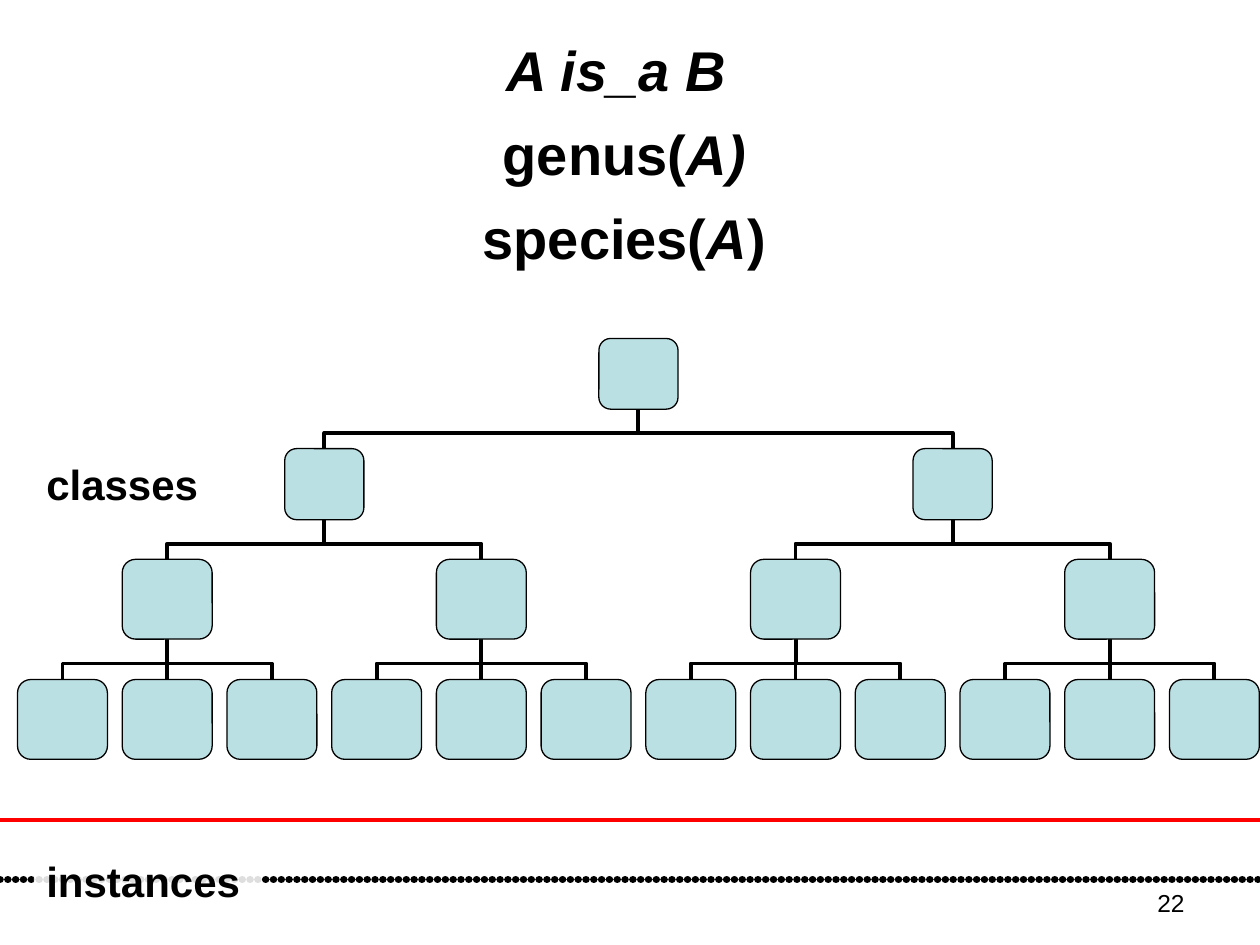
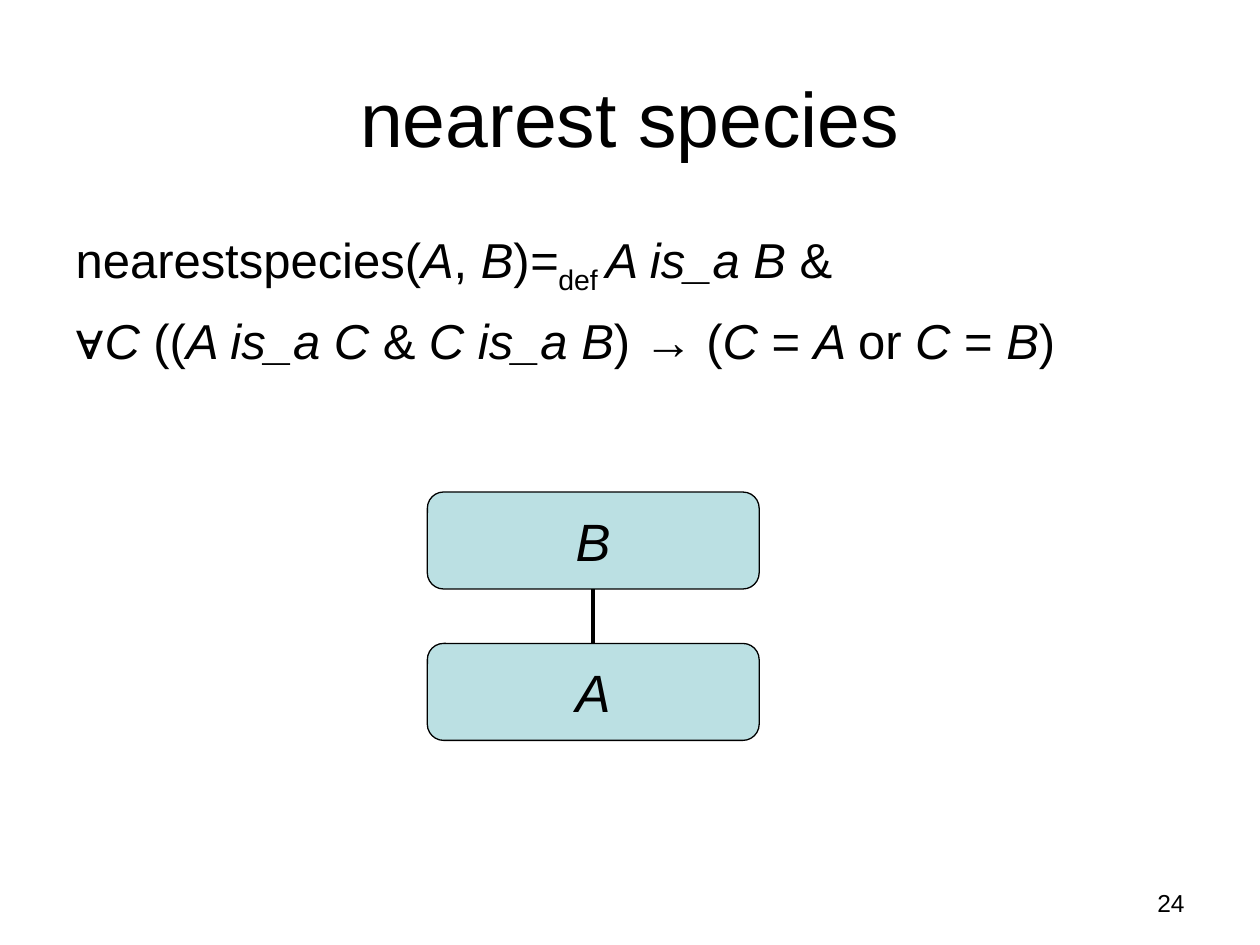
from lxml.etree import SubElement
from pptx import Presentation
from pptx.dml.color import RGBColor
from pptx.enum.shapes import MSO_CONNECTOR, MSO_SHAPE
from pptx.enum.text import MSO_ANCHOR, MSO_AUTO_SIZE, PP_ALIGN
from pptx.oxml.ns import qn
from pptx.util import Pt

BLACK = RGBColor(0x00, 0x00, 0x00)
WHITE = RGBColor(0xFF, 0xFF, 0xFF)
RED = RGBColor(0xFF, 0x00, 0x00)
PALE_TEAL = RGBColor(0xBB, 0xE0, 0xE3)
FONT = "Arial"
SLIDE_WIDTH, SLIDE_HEIGHT = 720, 540

LEAF_COUNT, FIRST_LEAF_X, LEAF_PITCH = 12, 35.7, 59.84
LEAF_LEVEL = (388.3, 51.4, 45.6)
UPPER_LEVELS = [(3, 319.6, 51.4, 45.6), (2, 256.4, 45.2, 40.6), (2, 193.4, 45.2, 40.4)]
ELBOW_SHARE = 39500


def place(shape, left, top, width, height):
    shape.left, shape.top = Pt(left), Pt(top)
    shape.width, shape.height = Pt(width), Pt(height)


def add_marked_runs(paragraph, marked):
    """Asterisks enclose italics, bars enclose subscripts."""
    for i, slanted in enumerate(marked.split("*")):
        for j, piece in enumerate(slanted.split("|")):
            if piece:
                run = paragraph.add_run()
                run.text = piece
                run.font.italic = i % 2 == 1
                if j % 2:
                    run._r.get_or_add_rPr().set("baseline", "-25000")


def write(frame, lines, size, bold=False, align=PP_ALIGN.LEFT, anchor=MSO_ANCHOR.TOP,
          gap=0, spacing=None, plain_list=False):
    frame.word_wrap = True
    frame.auto_size = MSO_AUTO_SIZE.NONE
    frame.vertical_anchor = anchor
    for number, line in enumerate(lines):
        paragraph = frame.add_paragraph() if number else frame.paragraphs[0]
        if plain_list:
            properties = paragraph._p.get_or_add_pPr()
            properties.set("marL", "0")
            properties.set("indent", "0")
            SubElement(properties, qn("a:buNone"))
        paragraph.alignment = align
        paragraph.space_before = Pt(gap if number else 0)
        if spacing:
            paragraph.line_spacing = spacing
        add_marked_runs(paragraph, line)
        font = paragraph.font
        font.name, font.size, font.bold = FONT, Pt(size), bold
        font.color.rgb = BLACK


def add_label(slide, text, left, top, width, height, size, **style):
    label = slide.shapes.add_textbox(Pt(left), Pt(top), Pt(width), Pt(height))
    write(label.text_frame, [text], size, **style)
    return label


def add_page_number(slide, number):
    add_label(slide, str(number), 516, 504, 168, 25, 14, align=PP_ALIGN.RIGHT)


def add_node(slide, center_x, top, width, height, text=None):
    node = slide.shapes.add_shape(MSO_SHAPE.ROUNDED_RECTANGLE, Pt(center_x - width / 2),
                                  Pt(top), Pt(width), Pt(height))
    node.shadow.inherit = False
    node.fill.solid()
    node.fill.fore_color.rgb = PALE_TEAL
    node.line.color.rgb = BLACK
    node.line.width = Pt(0.75)
    if text:
        write(node.text_frame, [text], 30, align=PP_ALIGN.CENTER, anchor=MSO_ANCHOR.MIDDLE)


def add_line(slide, x1, y1, x2, y2, color=BLACK, weight=2.25, kind=MSO_CONNECTOR.STRAIGHT):
    line = slide.shapes.add_connector(kind, Pt(x1), Pt(y1), Pt(x2), Pt(y2))
    line.line.color.rgb = color
    line.line.width = Pt(weight)
    SubElement(line._element.spPr, qn("a:effectLst"))
    return line


def add_branch(slide, child_x, child_top, parent_x, parent_bottom):
    if abs(child_x - parent_x) < 0.1:
        add_line(slide, child_x, child_top, parent_x, parent_bottom)
        return
    middle_x, middle_y = (child_x + parent_x) / 2, (child_top + parent_bottom) / 2
    half_rise, half_run = (child_top - parent_bottom) / 2, abs(child_x - parent_x) / 2
    side = 1 if child_x > parent_x else -1
    branch = add_line(slide, middle_x - side * half_rise, middle_y + half_run,
                      middle_x + side * half_rise, middle_y - half_run,
                      kind=MSO_CONNECTOR.ELBOW)
    properties = branch._element.spPr
    properties.find(qn("a:xfrm")).set("rot", str((270 if side > 0 else 90) * 60000))
    guides = properties.find(qn("a:prstGeom")).get_or_add_avLst()
    SubElement(guides, qn("a:gd"), name="adj1", fmla=f"val {ELBOW_SHARE}")


def add_class_tree(slide):
    centers = [FIRST_LEAF_X + i * LEAF_PITCH for i in range(LEAF_COUNT)]
    child_top, width, height = LEAF_LEVEL
    nodes = [(x, child_top, width, height) for x in centers]
    for fan, top, width, height in UPPER_LEVELS:
        families = [centers[i:i + fan] for i in range(0, len(centers), fan)]
        parents = [sum(family) / fan for family in families]
        for parent_x, family in zip(parents, families):
            for child_x in family:
                add_branch(slide, child_x, child_top, parent_x, top + height)
        nodes += [(x, top, width, height) for x in parents]
        centers, child_top = parents, top
    for node in nodes:
        add_node(slide, *node)


def add_dotted_line(slide, y):
    dotted = add_line(slide, 0, y, SLIDE_WIDTH, y, weight=4.25)
    outline = dotted.line._get_or_add_ln()
    outline.set("cap", "rnd")
    dashes = SubElement(outline, qn("a:custDash"))
    SubElement(dashes, qn("a:ds"), d="100000", sp="5000")


def build_tree_slide(deck):
    slide = deck.slides.add_slide(deck.slide_layouts[1])
    heading = slide.shapes.title._element
    heading.getparent().remove(heading)
    relations = slide.placeholders[1]
    place(relations, 36, 15.1, 641.5, 215.3)
    write(relations.text_frame, ["*A is_a B *", "genus(*A)*", "species(*A*)"], 32, bold=True,
          align=PP_ALIGN.CENTER, gap=8, spacing=1.04, plain_list=True)
    add_class_tree(slide)
    add_label(slide, "classes", 19.4, 258.5, 124.6, 36, 24, bold=True)
    add_line(slide, 0, 468.7, SLIDE_WIDTH, 468.7, RED)
    add_dotted_line(slide, 502.6)
    instances = add_label(slide, "instances", 19.4, 485.3, 130.3, 36, 24, bold=True)
    instances.fill.solid()
    instances.fill.fore_color.rgb = WHITE
    tint = instances._element.spPr.find(qn("a:solidFill"))[0]
    SubElement(tint, qn("a:alpha"), val="87000")
    add_page_number(slide, 22)


def build_nearest_species_slide(deck):
    slide = deck.slides.add_slide(deck.slide_layouts[1])
    title, definition = slide.shapes.title, slide.placeholders[1]
    place(title, 36, 21.6, 648, 90)
    write(title.text_frame, ["nearest species"], 44, align=PP_ALIGN.CENTER,
          anchor=MSO_ANCHOR.MIDDLE)
    place(definition, 36, 126, 647.3, 356.4)
    write(definition.text_frame,
          ["nearestspecies(*A*, *B*)*=*|def |*A is_a B *&",
           "∀*C* ((*A is_a C *& *C is_a B*) → (*C *= *A *or *C *= *B*)"],
          28, gap=7, spacing=1.04, plain_list=True)
    pair_x, upper_top, lower_top, width, height = 339, 281.2, 367.7, 189.6, 55.4
    add_line(slide, pair_x, lower_top, pair_x, upper_top + height)
    add_node(slide, pair_x, upper_top, width, height, "*B*")
    add_node(slide, pair_x, lower_top, width, height, "*A*")
    add_page_number(slide, 24)


def main():
    deck = Presentation()
    deck.slide_width, deck.slide_height = Pt(SLIDE_WIDTH), Pt(SLIDE_HEIGHT)
    build_tree_slide(deck)
    build_nearest_species_slide(deck)
    deck.save("out.pptx")


if __name__ == "__main__":
    main()
